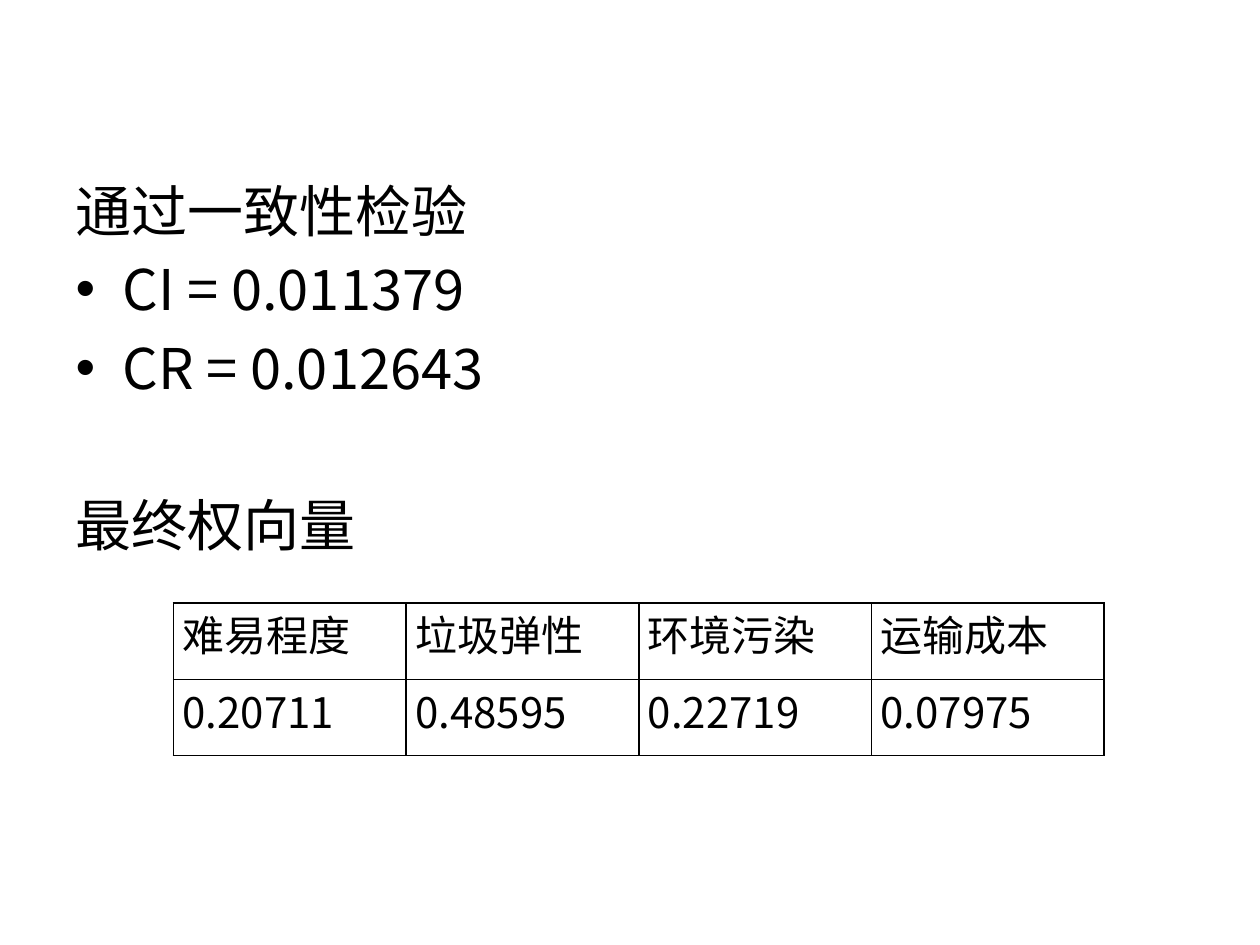
from pptx import Presentation
from pptx.dml.color import RGBColor
from pptx.oxml.ns import qn
from pptx.util import Pt
from lxml.etree import SubElement

BLACK = RGBColor(0, 0, 0)
FONT = "Noto Sans CJK SC"


def style_run(run, size):
    for key, value in {"name": FONT, "size": Pt(size)}.items():
        setattr(run.font, key, value)
    run.font.color.rgb = BLACK
    SubElement(run.font._element, qn("a:ea"), typeface=FONT)


def add_border(cell, side):
    line = SubElement(cell._tc.get_or_add_tcPr(), qn(f"a:{side}"), w=str(Pt(1)))
    fill = SubElement(line, qn("a:solidFill"))
    SubElement(fill, qn("a:srgbClr"), val=str(BLACK))


prs = Presentation()
prs.slide_width, prs.slide_height = Pt(720), Pt(540)
slide = prs.slides.add_slide(prs.slide_layouts[1])

# The slide shows no title
title = slide.shapes.title
title._element.getparent().remove(title._element)

# Consistency check: text, bulleted, space before
findings = [
    ("通过一致性检验", False, 6.4),
    ("CI = 0.011379", True, 6.4),
    ("CR = 0.012643", True, 6.4),
    ("最终权向量", False, 51.2),
]
body = slide.placeholders[1]
body_box = {"left": 36, "top": 97.2, "width": 648, "height": 385.2}
for key, value in body_box.items():
    setattr(body, key, Pt(value))
for index, (text, bulleted, gap) in enumerate(findings):
    frame = body.text_frame
    paragraph = frame.paragraphs[0] if index == 0 else frame.add_paragraph()
    paragraph.space_before = Pt(gap)
    paragraph.line_spacing = Pt(38.4)
    properties = paragraph._p.get_or_add_pPr()
    properties.set("marL", str(Pt(27)))
    properties.set("indent", str(Pt(-27)))
    if bulleted:
        SubElement(properties, qn("a:buFont"), typeface="Arial")
        SubElement(properties, qn("a:buChar"), char="•")
    else:
        SubElement(properties, qn("a:buNone"))
    run = paragraph.add_run()
    run.text = text
    style_run(run, 32)

# Final weight vector
weights = [
    ("难易程度", "垃圾弹性", "环境污染", "运输成本"),
    ("0.20711", "0.48595", "0.22719", "0.07975"),
]
weight_table = slide.shapes.add_table(
    2, 4, Pt(99.1), Pt(344.7), Pt(532), Pt(87)).table
weight_table.first_row = weight_table.horz_banding = False
cell_margins = {"margin_left": 5.2, "margin_right": 5.2,
                "margin_top": 0, "margin_bottom": 0}
for row, values in enumerate(weights):
    for column, value in enumerate(values):
        cell = weight_table.cell(row, column)
        for key, margin in cell_margins.items():
            setattr(cell, key, Pt(margin))
        for side in ("lnL", "lnR", "lnT", "lnB"):
            add_border(cell, side)
        cell.fill.background()
        run = cell.text_frame.paragraphs[0].add_run()
        run.text = value
        style_run(run, 24)

prs.save("out.pptx")
